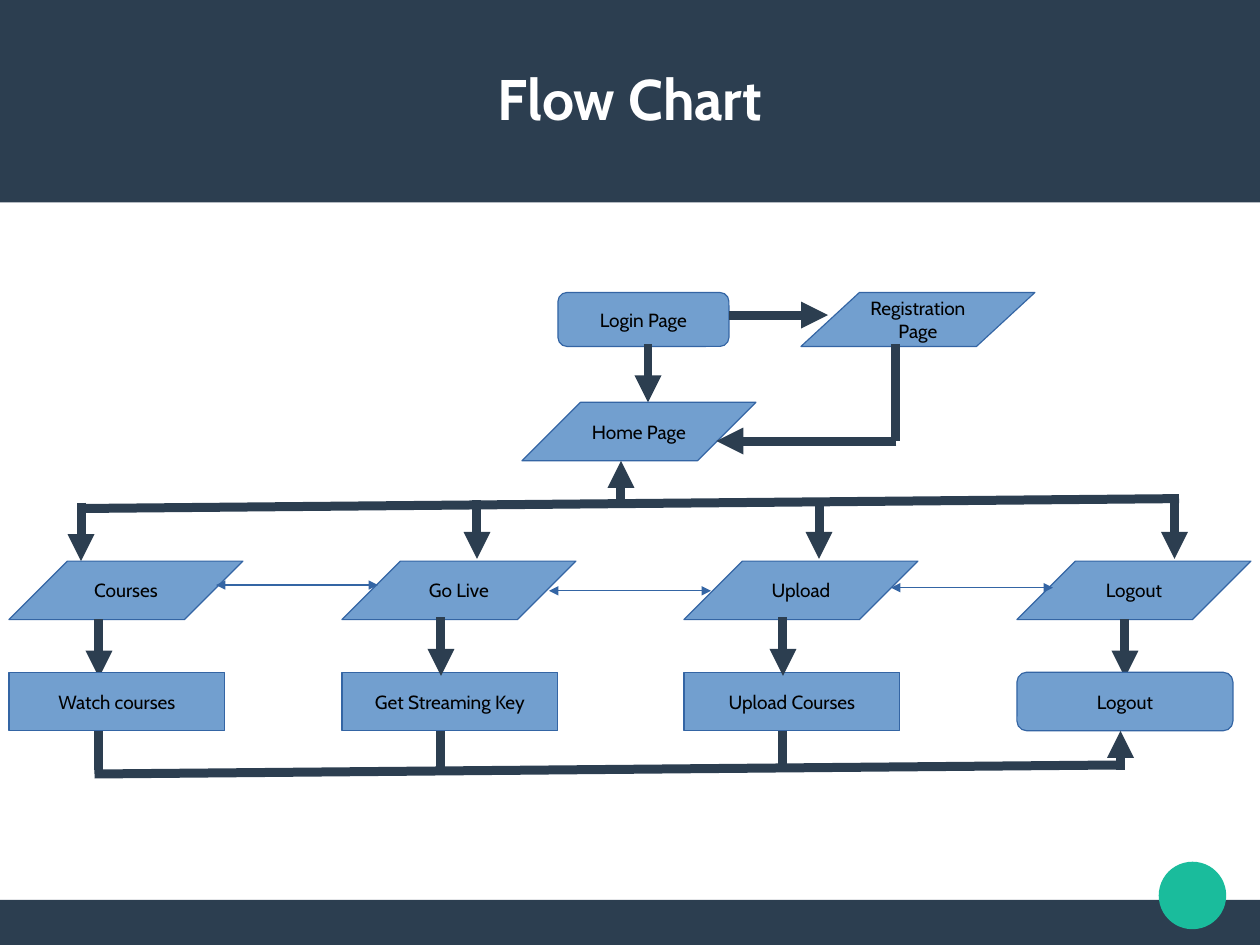
from lxml import etree
from pptx import Presentation
from pptx.dml.color import RGBColor
from pptx.enum.shapes import MSO_CONNECTOR, MSO_SHAPE
from pptx.enum.text import MSO_ANCHOR, MSO_AUTO_SIZE, PP_ALIGN
from pptx.oxml.ns import qn
from pptx.util import Cm, Pt

RECT = MSO_SHAPE.RECTANGLE
ROUND = MSO_SHAPE.ROUNDED_RECTANGLE
SLANT = MSO_SHAPE.PARALLELOGRAM
OVAL = MSO_SHAPE.OVAL
LINE = MSO_CONNECTOR.STRAIGHT
CENTER = PP_ALIGN.CENTER
MIDDLE = MSO_ANCHOR.MIDDLE
FIXED = MSO_AUTO_SIZE.NONE

COLS, ROWS = 280, 210
HUES = {"dark": "2C3E50", "mint": "1ABC9C", "box": "729FCF",
        "edge": "3465A4", "text": "000000", "white": "FFFFFF"}
LABEL = {"name": "Cabin", "size": Pt(12), "bold": False}
HEAD = {"name": "Cabin", "size": Pt(36), "bold": True}
FRAME = {"vertical_anchor": MIDDLE, "auto_size": FIXED, "word_wrap": False}
FLUSH = {"margin_left": 0, "margin_right": 0, "margin_top": 0,
         "margin_bottom": 0, "word_wrap": True}
THICK, THIN = 5.67, 0.75


def apply(item, style):
    for key, value in style.items():
        setattr(item, key, value)


def hue(name):
    return RGBColor.from_string(HUES[name])


class Chart:
    def __init__(self, deck):
        self.slide = deck.slides.add_slide(deck.slide_layouts[5])
        self.shapes = self.slide.shapes
        self.col = deck.slide_width / COLS
        self.row = deck.slide_height / ROWS

    def place(self, x, y, w, h):
        return [round(n) for n in (x * self.col, y * self.row,
                                   w * self.col, h * self.row)]

    def label(self, shape, text, font, color, frame):
        body = shape.text_frame
        body.text = text
        apply(body, frame)
        for para in body.paragraphs:
            para.alignment = CENTER
            apply(para.font, font)
            para.font.color.rgb = hue(color)

    def title(self, text, *area):
        shape = self.shapes.title
        apply(shape, dict(zip(("left", "top", "width", "height"), self.place(*area))))
        self.label(shape, text, HEAD, "white", FRAME | FLUSH)
        self.shapes.element.append(shape.element)

    def block(self, kind, fill, *area):
        shape = self.shapes.add_shape(kind, *self.place(*area))
        shape.shadow.inherit = False
        shape.fill.solid()
        shape.fill.fore_color.rgb = hue(fill)
        shape.line.fill.background()
        return shape

    def node(self, kind, text, x, y, w, h):
        shape = self.block(kind, "box", x, y, w, h)
        shape.line.color.rgb = hue("edge")
        shape.line.width = Pt(THIN)
        if kind == SLANT:
            shape.adjustments[0] = 13 / h
        self.label(shape, text, LABEL, "text", FRAME)

    def link(self, x1, y1, x2, y2, ends=("tailEnd",), color="dark", width=THICK):
        line = self.shapes.add_connector(LINE, *self.place(x1, y1, x2, y2))
        line.line.color.rgb = hue(color)
        line.line.width = Pt(width)
        props = line.element.spPr
        for end in ends:
            etree.SubElement(props.find(qn("a:ln")), qn("a:" + end), type="triangle")
        etree.SubElement(props, qn("a:effectLst"))


def main():
    deck = Presentation()
    deck.slide_width, deck.slide_height = Cm(28), Cm(21)
    flow = Chart(deck)

    flow.block(RECT, "dark", 0, 200, COLS, 10)
    flow.block(RECT, "dark", 0, 0, COLS, 45)
    flow.block(OVAL, "mint", 257.5, 191.5, 15, 15)
    flow.title("Flow Chart", 10, 8.4, 260, 26.7)

    flow.node(ROUND, "Login Page", 124, 65, 38, 12)
    flow.link(144, 76.4, 144, 89.4)
    flow.node(SLANT, "Home Page", 116, 89.4, 52, 13)
    flow.node(SLANT, "Registration\nPage", 178, 65, 52, 12)
    flow.link(162, 70, 184, 70)
    flow.link(199, 76.4, 199, 98, ())
    flow.link(199.2, 98, 159.2, 98)

    lanes = (2, 76, 152, 226)
    flow.link(18, 113, 262, 110.8, ())
    for x, y in zip((18, 106, 182, 261), (111.7, 111.2, 111.2, 111.2)):
        flow.link(x, y, x, y + 13)
    for x, text in zip(lanes, ("Courses", "Go Live", "Upload", "Logout")):
        flow.node(SLANT, text, x, 124.7, 52, 13)
    for x, y in ((48, 130), (122, 131.3), (198, 130.6)):
        flow.link(x, y, x + 36, y, ("headEnd", "tailEnd"), "edge", THIN)

    for x in (22, 250):
        flow.link(x, 137.6, x, 150.6)
    tasks = ("Watch courses", "Get Streaming Key", "Upload Courses", "Logout")
    for x, text, kind in zip(lanes, tasks, (RECT, RECT, RECT, ROUND)):
        flow.node(kind, text, x, 149.4, 48, 13)
    for x in (98, 174):
        flow.link(x, 137.2, x, 150.2)

    for x in (22, 98, 174):
        flow.link(x, 162.4, x, 171, ())
    flow.link(21, 172, 248, 170, ())
    flow.link(249, 171, 249, 162.4)
    flow.link(138, 110.8, 138, 102.4)

    deck.save("out.pptx")


if __name__ == "__main__":
    main()
